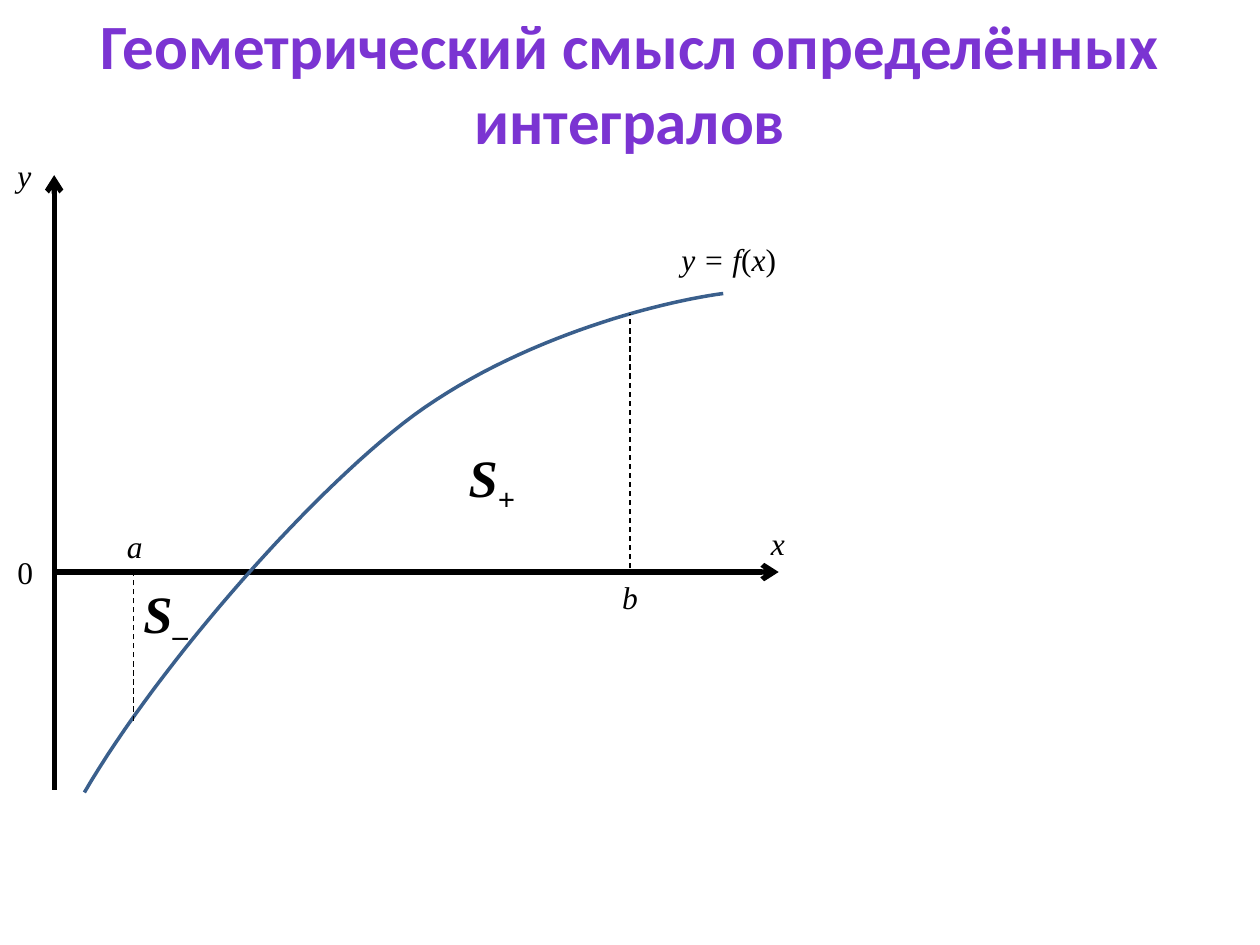
from pptx import Presentation
from pptx.dml.color import RGBColor
from pptx.enum.dml import MSO_LINE
from pptx.enum.shapes import MSO_CONNECTOR
from pptx.enum.text import MSO_ANCHOR, MSO_AUTO_SIZE, PP_ALIGN
from pptx.oxml.ns import qn
from pptx.util import Inches, Pt
from lxml.etree import SubElement

VIOLET = RGBColor(0x7B, 0x34, 0xD2)
BLACK = RGBColor(0, 0, 0)
BLUE = RGBColor(0x3A, 0x5F, 0x8C)

TITLE = "Геометрический смысл определённых интегралов"
ITALIC = {"italic": True}
AREA = {"size": 30, "bold": True}

# Left, top, width, height; then the runs with their formats
LABELS = [
    ((6.02, 4.11, 0.31, 0.4), [("x", ITALIC)]),
    ((0.04, 1.19, 0.31, 0.4), [("y", ITALIC)]),
    ((0.04, 4.34, 0.33, 0.4), [("0", {})]),
    ((3.62, 3.48, 0.59, 0.61), [("S", AREA | ITALIC), ("+", AREA | ITALIC | {"baseline": -25})]),
    ((0.91, 4.13, 0.33, 0.4), [("a", ITALIC)]),
    ((4.84, 4.54, 0.33, 0.4), [("b", ITALIC)]),
    ((5.31, 1.86, 0.96, 0.4), [("y = f", ITALIC), ("(", {}), ("x", ITALIC), (")", {})]),
    ((1.04, 4.56, 0.58, 0.61), [("S", AREA | ITALIC), ("–", AREA | {"baseline": -25})]),
]

AXES = [((0.43, 6.27), (0.43, 1.39)), ((0.43, 4.54), (6.18, 4.54))]
LIMITS = [((1.06, 5.72), (1.06, 4.54)), ((5, 4.51), (5, 2.49))]

# Cubic Bezier segments of y = f(x)
CURVE = [
    ((0.67, 6.29), (1.23, 5.33), (2.36, 4.02), (3.2, 3.36)),
    ((3.2, 3.36), (4.05, 2.7), (5.21, 2.4), (5.74, 2.33)),
]
CURVE_STEPS = 30


def add_text(para, text, size=18, font="Times New Roman", color=BLACK,
             bold=False, italic=False, baseline=0):
    """Append one formatted run; baseline is a percentage, negative for subscript."""
    span = para.add_run()
    span.text = text
    span.font.size = Pt(size)
    span.font.name = font
    span.font.color.rgb = color
    span.font.bold = bold
    span.font.italic = italic
    if baseline:
        span._r.get_or_add_rPr().set("baseline", str(baseline * 1000))


def add_title(page):
    title = page.shapes.title
    title.left, title.top = Inches(0), Inches(0)
    title.width, title.height = Inches(10), Inches(1.31)
    frame = title.text_frame
    frame.auto_size = MSO_AUTO_SIZE.NONE
    frame.vertical_anchor = MSO_ANCHOR.TOP
    para = frame.paragraphs[0]
    para.alignment = PP_ALIGN.CENTER
    add_text(para, TITLE, size=36, font="Calibri", color=VIOLET, bold=True)


def add_label(page, place, runs):
    box = page.shapes.add_textbox(*map(Inches, place))
    box.text_frame.word_wrap = False
    for text, look in runs:
        add_text(box.text_frame.paragraphs[0], text, **look)


def add_line(page, start, end, width, arrow=False, dashed=False):
    line = page.shapes.add_connector(MSO_CONNECTOR.STRAIGHT, *map(Inches, start + end))
    line.line.color.rgb = BLACK
    line.line.width = Pt(width)
    if dashed:
        line.line.dash_style = MSO_LINE.DASH
    if arrow:
        SubElement(line.line._get_or_add_ln(), qn("a:tailEnd"), type="arrow")
    SubElement(line._element.spPr, qn("a:effectLst"))


def bezier_point(segment, t):
    weights = ((1 - t) ** 3, 3 * t * (1 - t) ** 2, 3 * t * t * (1 - t), t ** 3)
    return tuple(Inches(sum(w * p for w, p in zip(weights, axis))) for axis in zip(*segment))


def add_curve(page):
    points = [bezier_point(segment, step / CURVE_STEPS)
              for segment in CURVE for step in range(1, CURVE_STEPS + 1)]
    builder = page.shapes.build_freeform(*bezier_point(CURVE[0], 0))
    builder.add_line_segments(points, close=False)
    curve = builder.convert_to_shape()
    curve.shadow.inherit = False
    curve.fill.background()
    curve.line.color.rgb = BLUE
    curve.line.width = Pt(2)


def main():
    deck = Presentation()
    deck.slide_width, deck.slide_height = Inches(10), Inches(7.5)
    page = deck.slides.add_slide(deck.slide_layouts.get_by_name("Title Only"))
    add_title(page)
    for start, end in AXES:
        add_line(page, start, end, 3, arrow=True)
    add_curve(page)
    for start, end in LIMITS:
        add_line(page, start, end, 0.75, dashed=True)
    for place, runs in LABELS:
        add_label(page, place, runs)
    deck.save("out.pptx")


if __name__ == "__main__":
    main()
